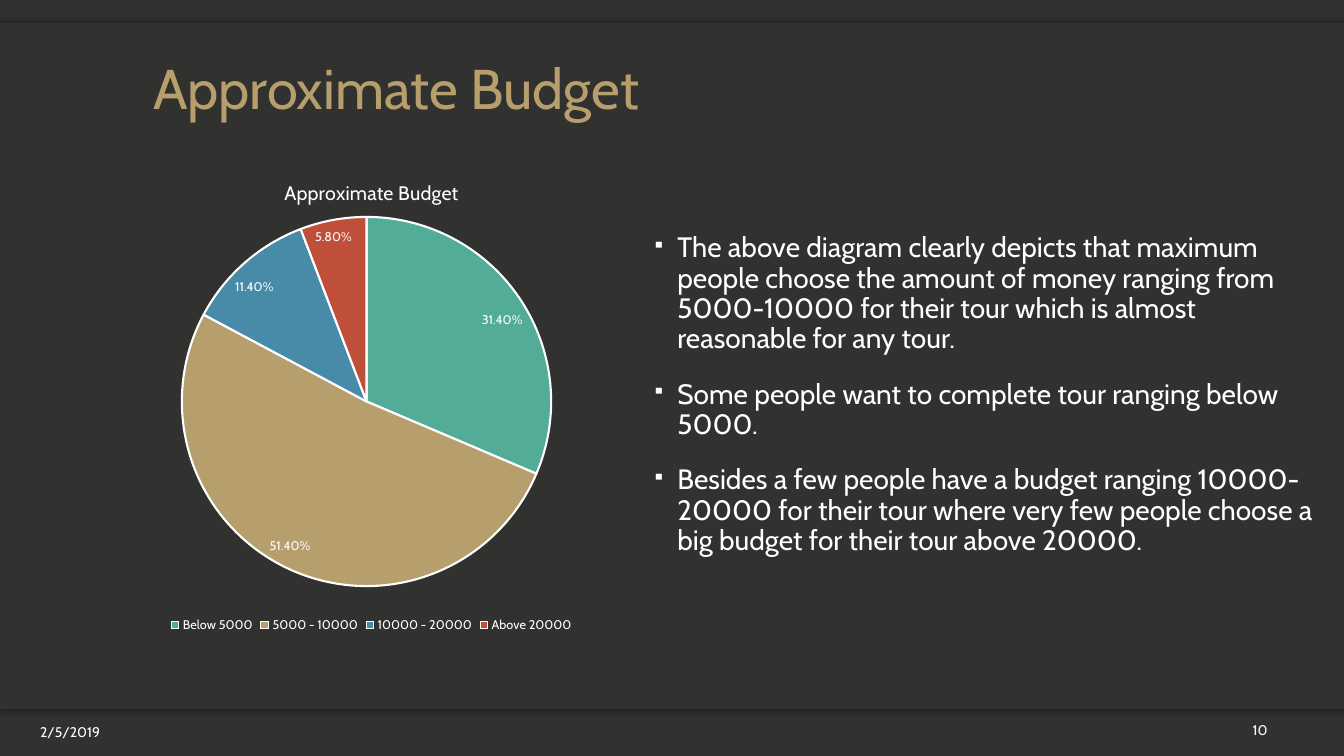
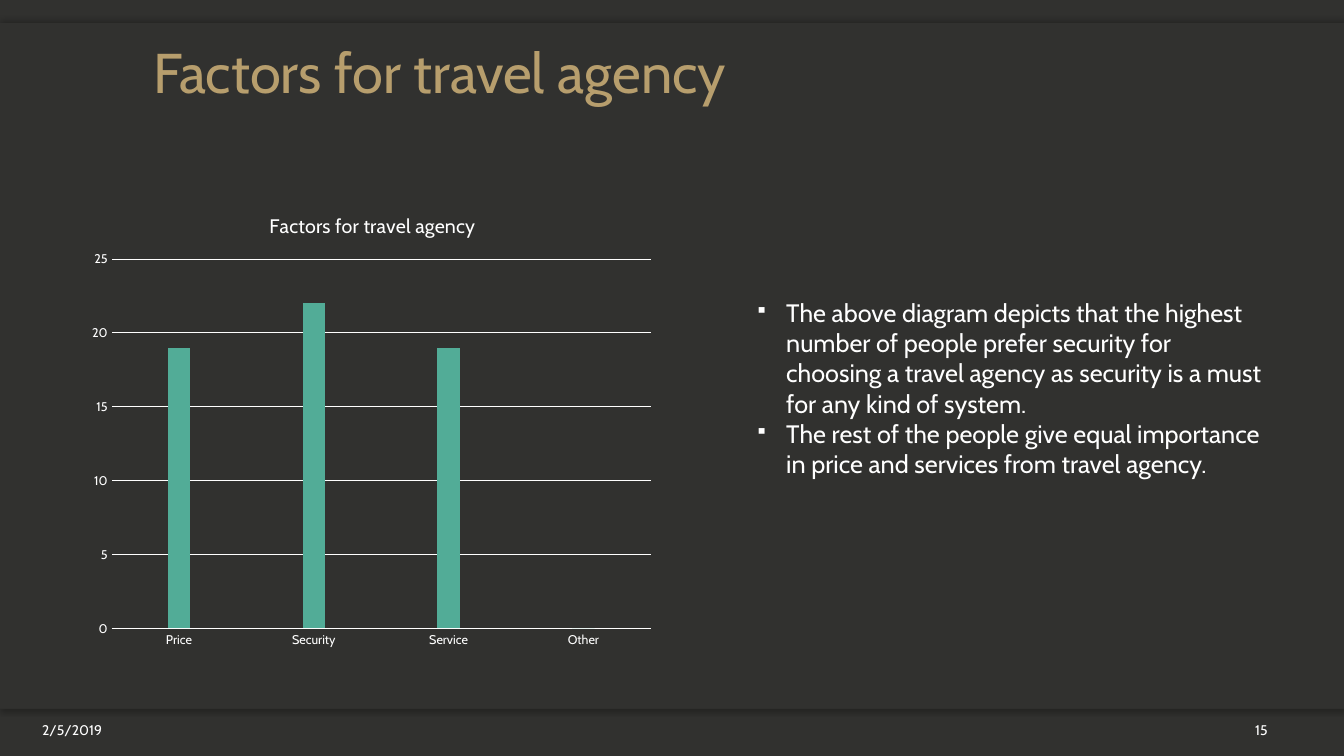
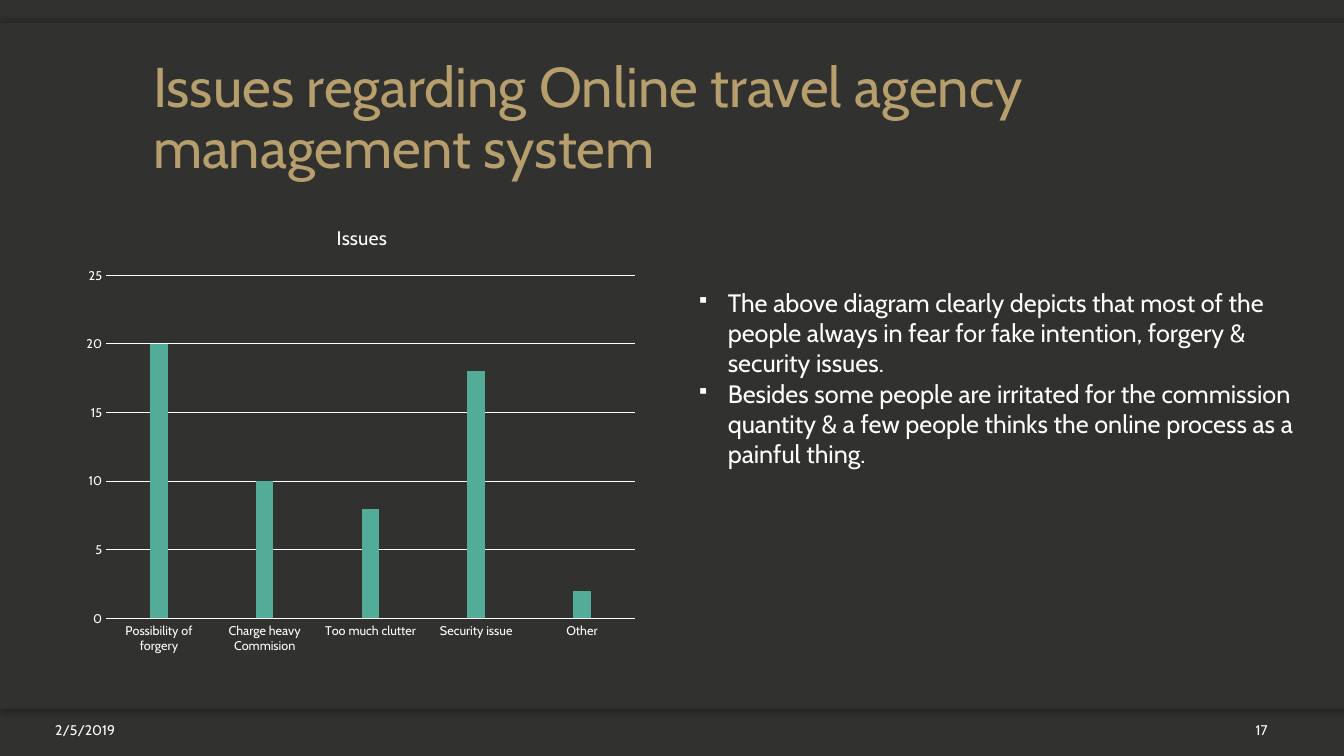
"""Build three dark survey slides, each with a chart and its reading."""
import lxml.etree
import pptx
import pptx.chart.data
import pptx.dml.color
import pptx.enum.chart
import pptx.enum.shapes
import pptx.enum.text
import pptx.oxml.ns
import pptx.util

SCALE = 9144
FONT = "Cabin"
DARK, WHITE, GOLD = "31312F", "FFFFFF", "B79E6D"
PALETTE = ["52AC97", GOLD, "478BA9", "BF4F39"]
qn = pptx.oxml.ns.qn
align = pptx.enum.text.PP_ALIGN
anchors = pptx.enum.text.MSO_ANCHOR
chart_enum = pptx.enum.chart


def color(hex_code):
    return pptx.dml.color.RGBColor.from_string(hex_code)


def add_text(page, paragraphs, frame, size=10, ink=WHITE, anchor=anchors.TOP,
             alignment=align.LEFT, leading=None, before=0, bullet_indent=0,
             bullet_percent=70, bottom_inset=5):
    box = page.shapes.add_textbox(*[n * SCALE for n in frame])
    body = box.text_frame
    body.word_wrap = True
    body.vertical_anchor = anchor
    body.margin_bottom = bottom_inset * SCALE
    for index, words in enumerate(paragraphs):
        para = body.paragraphs[0] if index == 0 else body.add_paragraph()
        para.alignment = alignment
        para.line_spacing = leading
        para.space_before = pptx.util.Pt(before)
        span = para.add_run()
        span.text = words
        span.font.name = FONT
        span.font.size = pptx.util.Pt(size)
        span.font.color.rgb = color(ink)
        if bullet_indent:
            properties = para._p.get_or_add_pPr()
            properties.set("marL", str(bullet_indent * SCALE))
            properties.set("indent", str(-bullet_indent * SCALE))
            lxml.etree.SubElement(properties, qn("a:buSzPct"), val=str(bullet_percent * 1000))
            lxml.etree.SubElement(properties, qn("a:buChar"), char="▪")


topics = [
    dict(
        title="Approximate Budget", title_frame=(142, 18, 1050, 108), title_inset=5,
        chart_title="Approximate Budget", chart_frame=(121, 160, 495, 472),
        plot=(0.12, 0.11, 0.74, 0.79), pie=True,
        categories=["Below 5000", "5000 - 10000", "10000 - 20000", "Above 20000"],
        values=[0.314, 0.514, 0.114, 0.058],
        notes=[
            "The above diagram clearly depicts that maximum people choose the amount of money "
            "ranging from 5000-10000 for their tour which is almost reasonable for any tour.",
            "Some people want to complete tour ranging below 5000.",
            "Besides a few people have a budget ranging 10000-20000 for their tour where very "
            "few people choose a big budget for their tour above 20000.",
        ],
        notes_frame=(637, 227, 677, 390),
        notes_style=dict(size=20, leading=0.9, before=18, bullet_indent=25, bullet_percent=65),
        date_at=(-37, 711), number="10",
    ),
    dict(
        title="Factors for travel agency", title_frame=(142, 43, 1050, 133), title_inset=71,
        chart_title="Factors for travel agency", chart_frame=(82, 193, 575, 458),
        plot=(0.05, 0.14, 0.93, 0.8), pie=False,
        categories=["Price", "Security", "Service", "Other"],
        values=[19, 22, 19, 0],
        notes=[
            "The above diagram depicts that the highest number of people prefer security for "
            "choosing a travel agency as security is a must for any kind of system.",
            "The rest of the people give equal importance in price and services from travel agency.",
        ],
        notes_frame=(739, 290, 524, 252), notes_style=dict(size=18, bullet_indent=31),
        date_at=(-35, 709), number="15",
    ),
    dict(
        title="Issues regarding Online travel agency management system",
        title_frame=(142, 46, 1050, 138), title_inset=5,
        chart_title="Issues", chart_frame=(77, 205, 564, 454),
        plot=(0.05, 0.15, 0.93, 0.75), pie=False,
        categories=["Possibility of forgery", "Charge heavy Commision", "Too much clutter",
                    "Security issue", "Other"],
        values=[20, 10, 8, 18, 2],
        notes=[
            "The above diagram clearly depicts that most of the people always in fear for fake "
            "intention, forgery & security issues.",
            "Besides some people are irritated for the commission quantity & a few people thinks "
            "the online process as a painful thing.",
        ],
        notes_frame=(681, 280, 612, 192), notes_style=dict(size=18, bullet_indent=31),
        date_at=(-22, 709), number="17",
    ),
]

deck = pptx.Presentation()
deck.slide_width = 1333 * SCALE
deck.slide_height = 750 * SCALE
blank = deck.slide_layouts[6]
pages = [deck.slides.add_slide(blank) for topic in topics]

master = deck.slide_master
master.background.fill.solid()
master.background.fill.fore_color.rgb = color(DARK)
bands = [(654, 49, 90), (23, 49, 270), (23, 680, None)]
for band_id, (top, height, shadow_angle) in enumerate(bands, start=101):
    band = pages[0].shapes.add_shape(
        pptx.enum.shapes.MSO_SHAPE.RECTANGLE, 0, top * SCALE, 1333 * SCALE, height * SCALE)
    band.fill.solid()
    band.fill.fore_color.rgb = color(DARK)
    band.line.fill.background()
    band.shadow.inherit = False
    if shadow_angle is not None:
        effects = band.element.spPr.find(qn("a:effectLst"))
        shadow = lxml.etree.SubElement(
            effects, qn("a:outerShdw"), blurRad=str(pptx.util.Pt(4)),
            dist=str(pptx.util.Pt(2)), dir=str(shadow_angle * 60000), rotWithShape="0")
        shade = lxml.etree.SubElement(shadow, qn("a:srgbClr"), val="000000")
        lxml.etree.SubElement(shade, qn("a:alpha"), val="25000")
    band.element.nvSpPr.cNvPr.set("id", str(band_id))
    master.shapes.element.append(band.element)

for page, topic in zip(pages, topics):
    add_text(page, [topic["title"]], topic["title_frame"], size=40, ink=GOLD, leading=0.9,
             anchor=anchors.BOTTOM, bottom_inset=topic["title_inset"])

    data = pptx.chart.data.CategoryChartData()
    data.categories = topic["categories"]
    if topic["pie"]:
        kind = chart_enum.XL_CHART_TYPE.PIE
        data.add_series(topic["chart_title"], topic["values"])
    else:
        kind = chart_enum.XL_CHART_TYPE.COLUMN_CLUSTERED
        empty = [None] * len(topic["values"])
        for number, values in enumerate([topic["values"], empty, empty], start=1):
            data.add_series(f"Series {number}", values)
    frame = [n * SCALE for n in topic["chart_frame"]]
    chart = page.shapes.add_chart(kind, *frame, data).chart
    chart.font.name = FONT
    chart.font.size = pptx.util.Pt(9)
    chart.font.color.rgb = color(WHITE)
    chart.has_title = True
    heading = chart.chart_title.text_frame
    heading.text = topic["chart_title"]
    heading_font = heading.paragraphs[0].runs[0].font
    heading_font.name = FONT
    heading_font.size = pptx.util.Pt(14)
    heading_font.bold = False
    heading_font.color.rgb = color(WHITE)

    plot_area = chart.element.find(".//" + qn("c:plotArea"))
    for old_layout in plot_area.findall(qn("c:layout")):
        plot_area.remove(old_layout)
    layout = lxml.etree.Element(qn("c:layout"))
    manual = lxml.etree.SubElement(layout, qn("c:manualLayout"))
    settings = [("layoutTarget", "inner"), ("xMode", "edge"), ("yMode", "edge")]
    for tag, value in settings + list(zip("xywh", topic["plot"])):
        lxml.etree.SubElement(manual, qn("c:" + tag), val=str(value))
    plot_area.insert(0, layout)

    plot = chart.plots[0]
    chart.has_legend = topic["pie"]
    plot.vary_by_categories = topic["pie"]
    if topic["pie"]:
        chart.legend.position = chart_enum.XL_LEGEND_POSITION.BOTTOM
        chart.legend.include_in_layout = False
        for index, hex_code in enumerate(PALETTE):
            wedge = plot.series[0].points[index].format
            wedge.fill.solid()
            wedge.fill.fore_color.rgb = color(hex_code)
            wedge.line.color.rgb = color(WHITE)
            wedge.line.width = pptx.util.Pt(1.5)
        plot.has_data_labels = True
        labels = plot.data_labels
        labels.show_value = True
        labels.show_percentage = False
        labels.number_format = "0.00%"
        labels.number_format_is_linked = False
        labels.position = chart_enum.XL_LABEL_POSITION.BEST_FIT
        labels.font.name = FONT
        labels.font.size = pptx.util.Pt(9)
        labels.font.color.rgb = color(WHITE)
    else:
        plot.gap_width = 500
        plot.overlap = 100
        for series, hex_code in zip(plot.series, PALETTE):
            series.format.fill.solid()
            series.format.fill.fore_color.rgb = color(hex_code)
        for axis in (chart.category_axis, chart.value_axis):
            axis.major_tick_mark = chart_enum.XL_TICK_MARK.NONE
            axis.minor_tick_mark = chart_enum.XL_TICK_MARK.NONE
        chart.value_axis.minimum_scale = 0
        chart.value_axis.maximum_scale = 25
        chart.value_axis.major_unit = 5
        chart.value_axis.format.line.fill.background()
        for ruled in (chart.category_axis, chart.value_axis.major_gridlines):
            ruled.format.line.color.rgb = color(WHITE)
            ruled.format.line.width = pptx.util.Pt(0.75)

    add_text(page, topic["notes"], topic["notes_frame"], **topic["notes_style"])
    footers = [(topic["date_at"], 146, "2/5/2019"), ((1192, 709), 75, topic["number"])]
    for corner, width, words in footers:
        add_text(page, [words], (*corner, width, 30), anchor=anchors.MIDDLE,
                 alignment=align.RIGHT)

deck.save("out.pptx")
